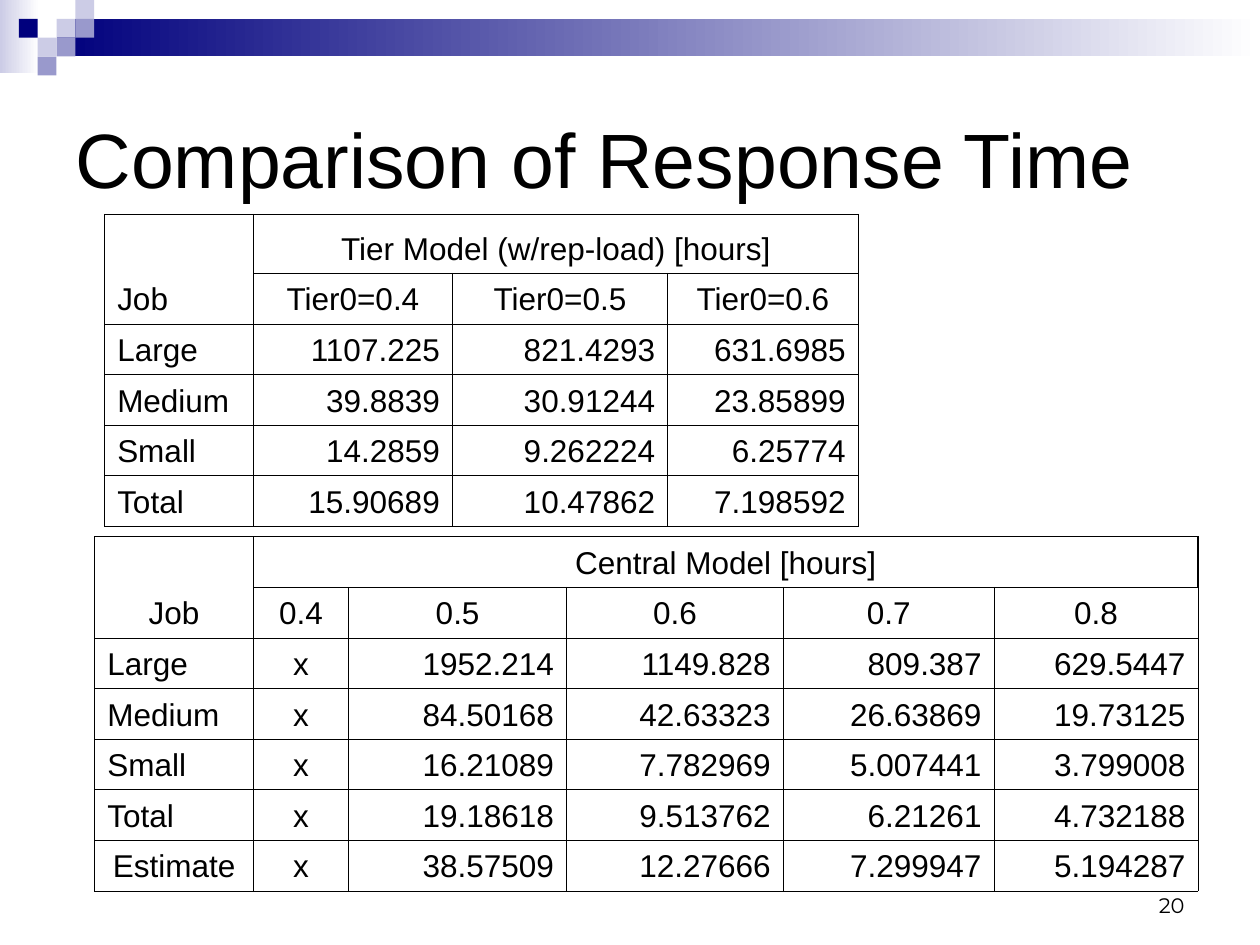
import pptx
import pptx.dml.color
import pptx.enum.shapes
import pptx.enum.text
import pptx.oxml
import pptx.oxml.ns
import pptx.util

Cm = pptx.util.Cm
Pt = pptx.util.Pt
Align = pptx.enum.text.PP_ALIGN
Anchor = pptx.enum.text.MSO_ANCHOR

TIER = """Job Tier0=0.4 Tier0=0.5 Tier0=0.6
Large 1107.225 821.4293 631.6985
Medium 39.8839 30.91244 23.85899
Small 14.2859 9.262224 6.25774
Total 15.90689 10.47862 7.198592"""

CENTRAL = """Job 0.4 0.5 0.6 0.7 0.8
Large x 1952.214 1149.828 809.387 629.5447
Medium x 84.50168 42.63323 26.63869 19.73125
Small x 16.21089 7.782969 5.007441 3.799008
Total x 19.18618 9.513762 6.21261 4.732188
Estimate x 38.57509 12.27666 7.299947 5.194287"""


def color(text):
    return pptx.dml.color.RGBColor.from_string(text)


def border(cell, thick=0.45, skip="", ink="000000"):
    """Line all four sides of a cell, leaving out those named in skip."""
    props = cell._tc.get_or_add_tcPr()
    for at, side in enumerate("LRTB"):
        tag = f"a:ln{side}"
        for old in props.findall(pptx.oxml.ns.qn(tag)):
            props.remove(old)
        paint = ("<a:noFill/>" if side in skip else
                 f'<a:solidFill><a:srgbClr val="{ink}"/></a:solidFill>')
        width = Pt(thick if side == "R" else 0.45)
        props.insert(at, pptx.oxml.parse_xml(
            f'<{tag} {pptx.oxml.ns.nsdecls("a")} w="{width}">{paint}</{tag}>'))


class Deck:
    font = "Arial"
    ink = "000000"

    def __init__(self, slide):
        self.slide = slide

    def style(self, par, size, align, font=None):
        par.alignment = align
        for run in par.runs:
            run.font.name = font or self.font
            run.font.size = Pt(size)
            run.font.color.rgb = color(self.ink)

    def title(self, text, left, top, width, height):
        box = self.slide.shapes.title
        box.left, box.top, box.width, box.height = map(Cm, (left, top, width, height))
        frame = box.text_frame
        frame.text = text
        frame.vertical_anchor = Anchor.MIDDLE
        self.style(frame.paragraphs[0], 44, Align.LEFT)

    def block(self, left, top, width, height, *fill):
        """Draw a rectangle; two colours make a gradient from right to left."""
        box = self.slide.shapes.add_shape(
            pptx.enum.shapes.MSO_SHAPE.RECTANGLE,
            *map(Cm, (left, top, width, height)))
        box.shadow.inherit = False
        box.line.fill.background()
        if len(fill) == 1:
            box.fill.solid()
            box.fill.fore_color.rgb = color(fill[0])
            return
        box.fill.gradient()
        box.fill.gradient_angle = 180
        for at, (stop, tint) in enumerate(zip(box.fill.gradient_stops, fill)):
            stop.position = at
            stop.color.rgb = color(tint)

    def label(self, text, left, top, width, height):
        box = self.slide.shapes.add_textbox(*map(Cm, (left, top, width, height)))
        frame = box.text_frame
        frame.word_wrap = True
        frame.vertical_anchor = Anchor.BOTTOM
        frame.text = text
        self.style(frame.paragraphs[0], 12, Align.RIGHT, "Montserrat")

    def table(self, left, top, widths, heights, head, data, middle, hang=0):
        """Add a table headed by one wide cell; words in middle are centred."""
        rows = [["", head]] + [line.split() for line in data.splitlines()]
        grid = self.slide.shapes.add_table(
            len(rows), len(widths), Cm(left), Cm(top),
            Cm(sum(widths)), Cm(sum(heights))).table
        grid.first_row = grid.horz_banding = False
        for col, width in zip(grid.columns, widths):
            col.width = Cm(width)
        for row, height in zip(grid.rows, heights):
            row.height = Cm(height)
        for cell in grid.iter_cells():
            cell.fill.background()
            cell.vertical_anchor = Anchor.BOTTOM
            border(cell)
        for r, row in enumerate(rows):
            for c, text in enumerate(row):
                if not text:
                    continue
                cell = grid.cell(r, c)
                cell.text_frame.text = text
                par = cell.text_frame.paragraphs[0]
                if text in middle or (r < 2 and c):
                    align = Align.CENTER
                else:
                    align = Align.RIGHT if c else Align.LEFT
                if hang:
                    props = par._p.get_or_add_pPr()
                    props.set("marL", str(Cm(hang)))
                    props.set("indent", str(-Cm(hang)))
                self.style(par, 18, align)
        grid.cell(0, 1).merge(grid.cell(0, len(widths) - 1))
        return grid


def main():
    show = pptx.Presentation()
    show.slide_width, show.slide_height = Cm(25.4), Cm(19.05)
    deck = Deck(show.slides.add_slide(show.slide_layouts[5]))

    unit = 0.38
    pale, mid, dark = "CCCCE6", "9999CC", "00007D"
    deck.block(0, 0, 0.79, 1.47, "FFFFFF", pale)
    deck.block(3 * unit, unit, 24.26, 2 * unit, "FFFFFF", dark)
    for col, row, tint in ((3, 1, pale), (4, 0, pale), (4, 1, mid), (2, 2, pale),
                           (1, 1, dark), (3, 2, mid), (2, 3, mid)):
        deck.block(col * unit, row * unit, unit, unit, tint)

    deck.title("Comparison of Response Time", 1.27, 1.27, 22.86, 3.81)

    tier = deck.table(2.11, 4.32, [3, 4.01, 4.34, 3.84], [1.19] + [1.02] * 5,
                      "Tier Model (w/rep-load) [hours]", TIER, (), hang=0.97)
    border(tier.cell(0, 0), skip="B")
    border(tier.cell(1, 0), skip="T")

    central = deck.table(1.91, 10.82, [3.2, 1.92, 4.39, 4.37, 4.25, 4.11],
                         [1.02] * 7, "Central Model [hours]", CENTRAL,
                         ("x", "Job", "Estimate"))
    central.cell(0, 0).merge(central.cell(1, 0))
    for col in (1, 5):
        border(central.cell(0, col), thick=1.08)

    deck.label("20", 18.21, 17.35, 5.92, 1.27)
    show.save("out.pptx")


if __name__ == "__main__":
    main()
